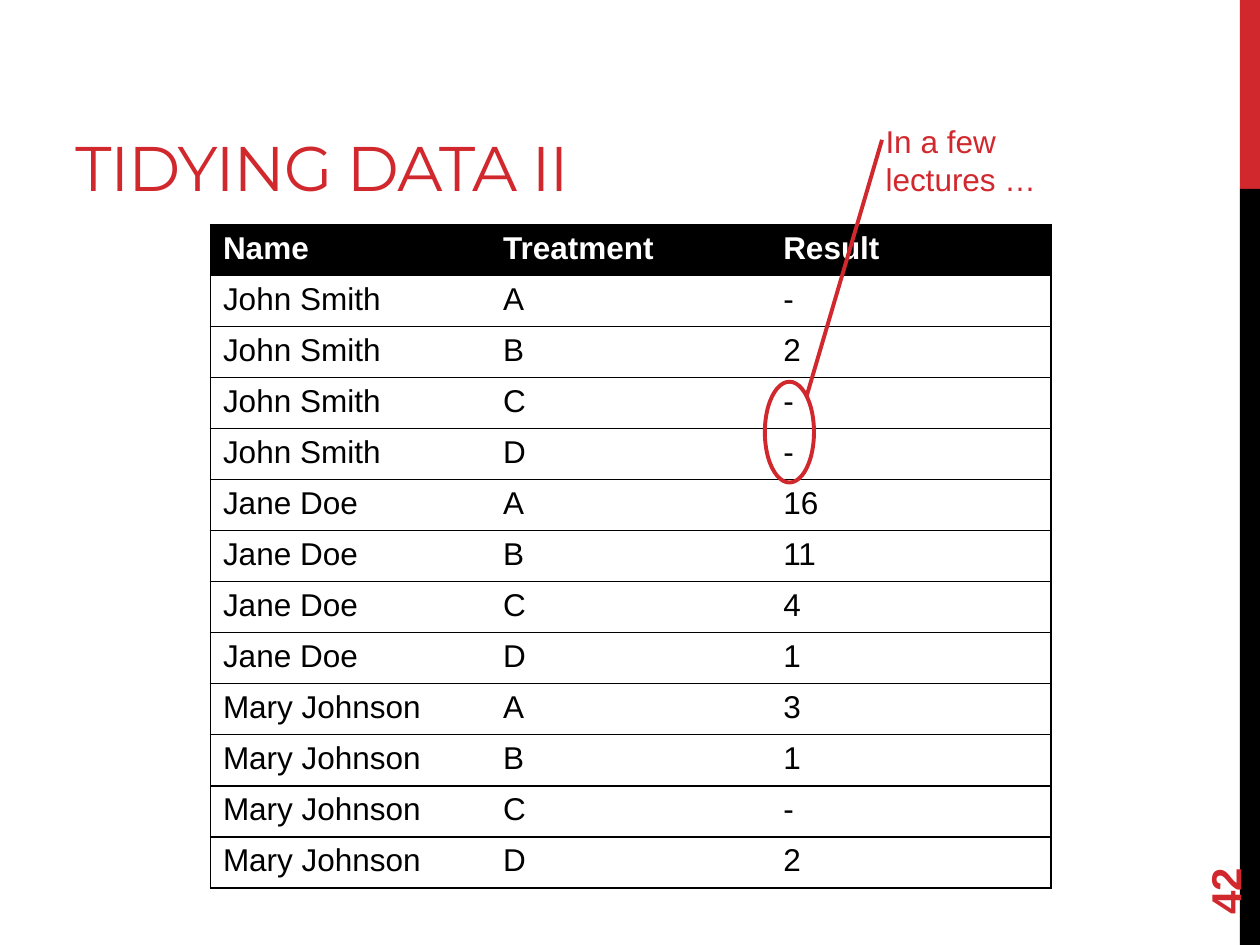
from itertools import product

from lxml import etree
from pptx import Presentation
from pptx.dml.color import RGBColor
from pptx.enum.shapes import MSO_CONNECTOR, MSO_SHAPE
from pptx.enum.text import MSO_ANCHOR
from pptx.oxml.ns import qn
from pptx.util import Inches, Pt

STRAIGHT = MSO_CONNECTOR.STRAIGHT
RECTANGLE = MSO_SHAPE.RECTANGLE
OVAL = MSO_SHAPE.OVAL
TOP, MIDDLE, BOTTOM = MSO_ANCHOR.TOP, MSO_ANCHOR.MIDDLE, MSO_ANCHOR.BOTTOM

RED, BLACK, WHITE = "D1282E", "000000", "FFFFFF"

PEOPLE = ["John Smith", "Jane Doe", "Mary Johnson"]
TREATMENTS = "ABCD"
RESULTS = ["-", "2", "-", "-", "16", "11", "4", "1", "3", "1", "-", "2"]


def color(code):
    return RGBColor.from_string(code)


def write(frame, text, size=18, font="Arial", ink=BLACK, bold=False, spacing=None):
    run = frame.paragraphs[0].add_run()
    run.text = text
    run.font.size = Pt(size)
    run.font.name = font
    run.font.bold = bold
    run.font.color.rgb = color(ink)
    if spacing is not None:
        run._r.get_or_add_rPr().set("spc", str(round(spacing * 100)))


def set_border(cell, side, visible):
    border = etree.SubElement(cell._tc.get_or_add_tcPr(), qn(f"a:ln{side}"), w=str(Pt(1)))
    if visible:
        fill = etree.SubElement(border, qn("a:solidFill"))
        etree.SubElement(fill, qn("a:srgbClr"), val=BLACK)
    else:
        etree.SubElement(border, qn("a:noFill"))


class SlideBuilder:
    accent = RED
    outline = Pt(2.25)

    def __init__(self, slide):
        self.slide = slide
        self.shapes = slide.shapes

    def bar(self, left, top, width, height, fill):
        bar = self.shapes.add_shape(
            RECTANGLE, Inches(left), Inches(top), Inches(width), Inches(height))
        bar.shadow.inherit = False
        bar.fill.solid()
        bar.fill.fore_color.rgb = color(fill)
        bar.line.fill.background()

    def text(self, left, top, width, height, text, anchor=TOP, rotation=0, **style):
        box = self.shapes.add_textbox(
            Inches(left), Inches(top), Inches(width), Inches(height))
        box.rotation = rotation
        box.text_frame.word_wrap = True
        box.text_frame.vertical_anchor = anchor
        write(box.text_frame, text, ink=self.accent, **style)

    def table(self, left, top, width, height, rows):
        row_count, column_count = len(rows), len(rows[0])
        table = self.shapes.add_table(
            row_count, column_count, Inches(left), Inches(top),
            Inches(width), Inches(height)).table
        table.horz_banding = False
        for r, c in product(range(row_count), range(column_count)):
            cell, header = table.cell(r, c), r == 0
            set_border(cell, "L", c == 0)
            set_border(cell, "R", c == column_count - 1)
            set_border(cell, "T", True)
            set_border(cell, "B", True)
            cell.fill.solid()
            cell.fill.fore_color.rgb = color(BLACK if header else WHITE)
            write(cell.text_frame, rows[r][c], ink=WHITE if header else BLACK, bold=header)

    def ring(self, left, top, width, height):
        ring = self.shapes.add_shape(
            OVAL, Inches(left), Inches(top), Inches(width), Inches(height))
        ring.shadow.inherit = False
        ring.fill.background()
        ring.line.color.rgb = color(self.accent)
        ring.line.width = self.outline

    def line(self, x1, y1, x2, y2):
        line = self.shapes.add_connector(
            STRAIGHT, Inches(x1), Inches(y1), Inches(x2), Inches(y2))
        line.line.color.rgb = color(self.accent)
        line.line.width = self.outline
        etree.SubElement(line._element.spPr, qn("a:effectLst"))


def main():
    deck = Presentation()
    deck.slide_width, deck.slide_height = Inches(10), Inches(7.5)
    page = SlideBuilder(deck.slides.add_slide(deck.slide_layouts[6]))

    page.bar(9.84, 0, 0.16, 1.5, RED)
    page.bar(9.84, 1.5, 0.16, 6, BLACK)
    page.text(0.5, 0.17, 6.33, 1.5, "TIDYING DATA II", anchor=BOTTOM,
              size=36, font="Montserrat", spacing=-0.6)
    page.text(9, 6.44, 1.44, 0.4, "42", anchor=MIDDLE, rotation=270, size=24, bold=True)

    observations = [
        (person, treatment, result)
        for (person, treatment), result in zip(product(PEOPLE, TREATMENTS), RESULTS)
    ]
    page.table(1.67, 1.78, 6.67, 5.27, [("Name", "Treatment", "Result"), *observations])

    page.ring(6.07, 3.03, 0.39, 0.8)
    page.line(6.4, 3.15, 7, 1.11)
    page.text(6.93, 0.92, 1.56, 0.71, "In a few lectures …")

    deck.save("out.pptx")


if __name__ == "__main__":
    main()
